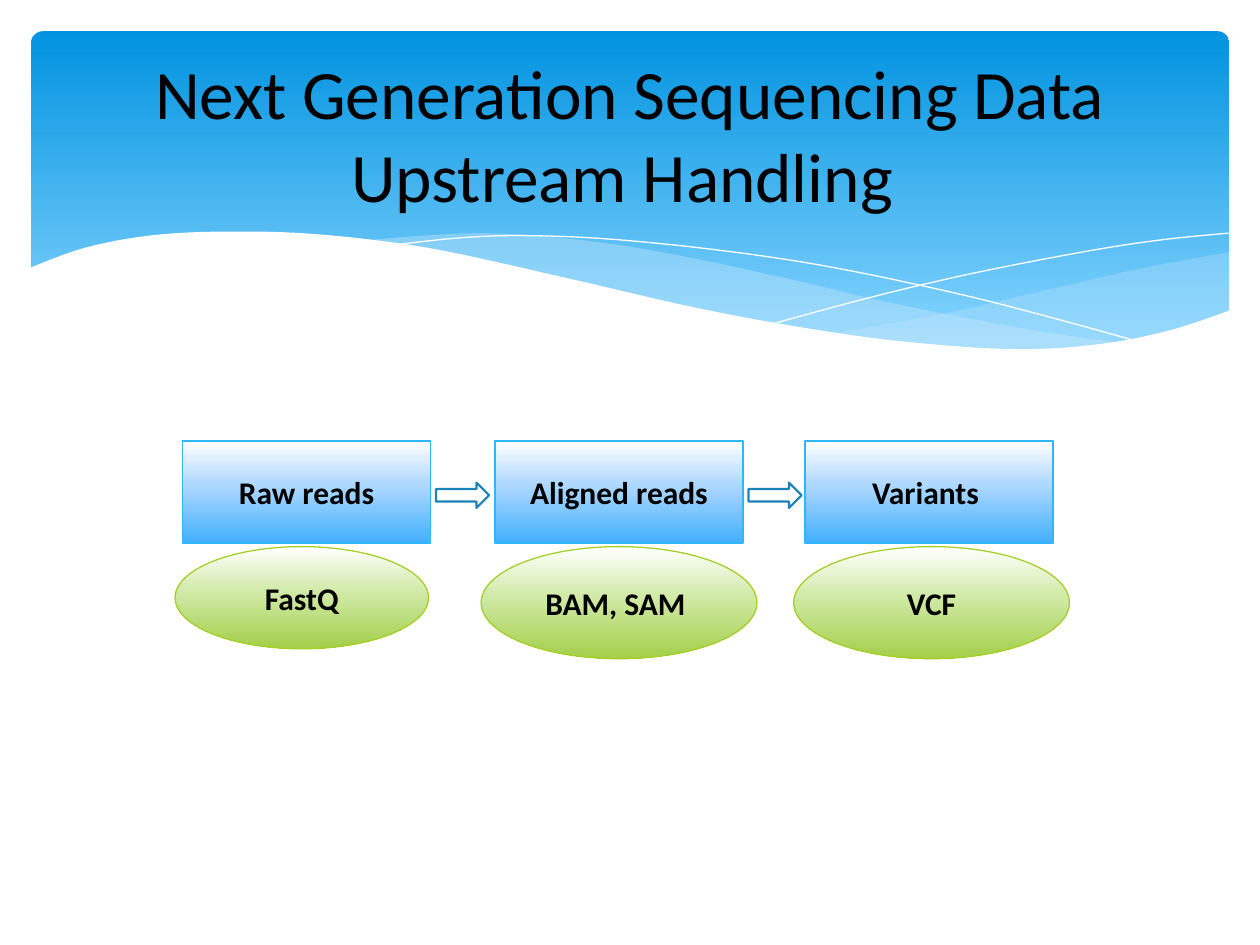
from lxml import etree
from pptx import Presentation
from pptx.dml.color import RGBColor
from pptx.enum.shapes import MSO_SHAPE
from pptx.enum.text import MSO_ANCHOR, PP_ALIGN
from pptx.oxml.ns import qn
from pptx.util import Cm, Pt

RECTANGLE = MSO_SHAPE.RECTANGLE
ROUNDED = MSO_SHAPE.ROUNDED_RECTANGLE
ELLIPSE = MSO_SHAPE.OVAL
ARROW = MSO_SHAPE.RIGHT_ARROW
MIDDLE = MSO_ANCHOR.MIDDLE
CENTER = PP_ALIGN.CENTER

FONT = "Calibri"
BLACK = RGBColor(0x00, 0x00, 0x00)
WHITE = RGBColor(0xFF, 0xFF, 0xFF)
PALE_BLUE = RGBColor(0xC6, 0xE7, 0xFC)
BLUE_LINE = RGBColor(0x31, 0xB6, 0xFD)
GREEN_LINE = RGBColor(0xA5, 0xD0, 0x28)
ARROW_LINE = RGBColor(0x1C, 0x83, 0xB9)
BANNER_STOPS = [(0, RGBColor(0x02, 0x93, 0xE0)), (90, RGBColor(0x83, 0xD3, 0xFE))]
BLUE_STOPS = [(0, WHITE), (44, RGBColor(0xAC, 0xD7, 0xFF)), (100, RGBColor(0x42, 0xB0, 0xFD))]
GREEN_STOPS = [(0, WHITE), (44, RGBColor(0xD1, 0xEA, 0xA7)), (100, RGBColor(0xA4, 0xCF, 0x4A))]

RIGHT_WAVE_TOP = [(24.79, 5.08), (23.01, 5.41), (21.13, 5.84), (19.13, 6.3), (16.79, 6.73)]
RIGHT_WAVE_BOTTOM = [(16.79, 6.73), (18.26, 6.91), (19.84, 7.04), (21.44, 7.04),
                     (22.78, 6.86), (23.75, 6.65), (24.79, 6.27)]
LEFT_WAVE_TOP = [(22.68, 6.93), (20.5, 6.6), (17.93, 6.1), (15.98, 5.64),
                 (13.74, 5.16), (11.81, 4.85), (9.65, 4.7), (7.26, 4.85)]
LEFT_WAVE_BOTTOM = [(7.26, 4.85), (9.19, 5.16), (11.4, 5.64), (13.46, 6.1), (15.7, 6.55),
                    (17.65, 6.86), (19.33, 7.04), (21.03, 7.06), (22.68, 6.93)]
FALLING_LINE = [(7.85, 4.95), (9.22, 4.8), (10.57, 4.75), (12.42, 4.83), (14.78, 5.08),
                (16.89, 5.41), (19.3, 5.92), (21.11, 6.38), (23.04, 6.91)]
RISING_LINE = [(15.57, 6.53), (17.65, 5.97), (19.71, 5.49), (22, 5.05), (23.47, 4.83), (24.77, 4.7)]
WHITE_WAVE = [(0.58, 5.41), (1.7, 5), (3.02, 4.75), (4.5, 4.67), (6.35, 4.72), (8.64, 5),
              (11.35, 5.59), (14.1, 6.22), (16.46, 6.65), (18.44, 6.91), (20.55, 7.04),
              (22.23, 6.93), (23.62, 6.65), (24.82, 6.25)]
WHITE_WAVE_BASE = [(24.82, 8.36), (0.58, 8.36)]

STEPS = [("Raw reads", 3.68), ("Aligned reads", 9.98), ("Variants ", 16.23)]
FORMATS = [("FastQ", 3.53, 5.11, 2.06), ("BAM, SAM ", 9.7, 5.56, 2.26), ("VCF", 16, 5.56, 2.26)]
ARROW_LEFTS = [8.79, 15.09]


def smooth(knots, steps=6):
    padded = [knots[0], *knots, knots[-1]]
    points = [knots[0]]
    for a, b, c, d in zip(padded, padded[1:], padded[2:], padded[3:]):
        for step in range(1, steps + 1):
            t = step / steps
            points.append(tuple(
                (2 * q + (r - p) * t + (2 * p - 5 * q + 4 * r - s) * t ** 2
                 + (3 * q - p - 3 * r + s) * t ** 3) / 2
                for p, q, r, s in zip(a, b, c, d)))
    return points


def set_gradient(shape, stops):
    shape.fill.gradient()
    shape.fill.gradient_angle = 270
    stop_list = shape._element.spPr.find(qn("a:gradFill")).find(qn("a:gsLst"))
    for stop in list(stop_list):
        stop_list.remove(stop)
    for position, color in stops:
        stop = etree.SubElement(stop_list, qn("a:gs"), pos=str(position * 1000))
        etree.SubElement(stop, qn("a:srgbClr"), val=str(color))


def set_line(shape, color, width):
    shape.line.color.rgb = color
    shape.line.width = Pt(width)


def write_text(shape, text, size, bold=False):
    frame = shape.text_frame
    frame.word_wrap = True
    frame.vertical_anchor = MIDDLE
    paragraph = frame.paragraphs[0]
    paragraph.text = text
    paragraph.alignment = CENTER
    paragraph.font.name = FONT
    paragraph.font.size = Pt(size)
    paragraph.font.bold = bold
    paragraph.font.color.rgb = BLACK


def add_preset(slide, kind, left, top, width, height):
    shape = slide.shapes.add_shape(kind, Cm(left), Cm(top), Cm(width), Cm(height))
    shape.shadow.inherit = False
    return shape


def add_outline(slide, points, close):
    vertices = [(Cm(x), Cm(y)) for x, y in points]
    builder = slide.shapes.build_freeform(*vertices[0])
    builder.add_line_segments(vertices[1:], close=close)
    shape = builder.convert_to_shape()
    shape.shadow.inherit = False
    return shape


def add_wave(slide, points, color, opacity=100):
    shape = add_outline(slide, points, True)
    shape.fill.solid()
    shape.fill.fore_color.rgb = color
    shape.line.fill.background()
    if opacity < 100:
        color_element = shape._element.spPr.find(qn("a:solidFill"))[0]
        etree.SubElement(color_element, qn("a:alpha"), val=str(opacity * 1000))


def add_hairline(slide, knots):
    shape = add_outline(slide, smooth(knots), False)
    shape.fill.background()
    set_line(shape, WHITE, 0)


def add_banner(slide):
    banner = add_preset(slide, ROUNDED, 0.63, 0.63, 24.15, 6.86)
    banner.adjustments[0] = 0.034
    set_gradient(banner, BANNER_STOPS)
    banner.line.fill.background()
    add_wave(slide, smooth(RIGHT_WAVE_TOP) + smooth(RIGHT_WAVE_BOTTOM), PALE_BLUE, 29)
    add_wave(slide, smooth(LEFT_WAVE_TOP) + smooth(LEFT_WAVE_BOTTOM), PALE_BLUE, 40)
    add_hairline(slide, FALLING_LINE)
    add_hairline(slide, RISING_LINE)
    add_wave(slide, smooth(WHITE_WAVE) + WHITE_WAVE_BASE, WHITE)


def add_title(slide):
    title = slide.shapes.add_textbox(Cm(1.27), Cm(0.94), Cm(22.86), Cm(3.48))
    write_text(title, "Next Generation Sequencing Data Upstream Handling ", 39.6)


def add_node(slide, kind, text, box, stops, line_color):
    node = add_preset(slide, kind, *box)
    set_gradient(node, stops)
    set_line(node, line_color, 0.75)
    write_text(node, text, 18, bold=True)


def add_arrow(slide, left):
    arrow = add_preset(slide, ARROW, left, 9.73, 1.07, 0.51)
    arrow.fill.solid()
    arrow.fill.fore_color.rgb = WHITE
    set_line(arrow, ARROW_LINE, 1.25)


def main():
    presentation = Presentation()
    presentation.slide_width = Cm(25.4)
    presentation.slide_height = Cm(19.05)
    slide = presentation.slides.add_slide(presentation.slide_layouts[6])
    add_banner(slide)
    add_title(slide)
    for text, left in STEPS:
        add_node(slide, RECTANGLE, text, (left, 8.89, 5, 2.06), BLUE_STOPS, BLUE_LINE)
    for left in ARROW_LEFTS:
        add_arrow(slide, left)
    for text, left, width, height in FORMATS:
        add_node(slide, ELLIPSE, text, (left, 11.02, width, height), GREEN_STOPS, GREEN_LINE)
    presentation.save("out.pptx")


if __name__ == "__main__":
    main()
